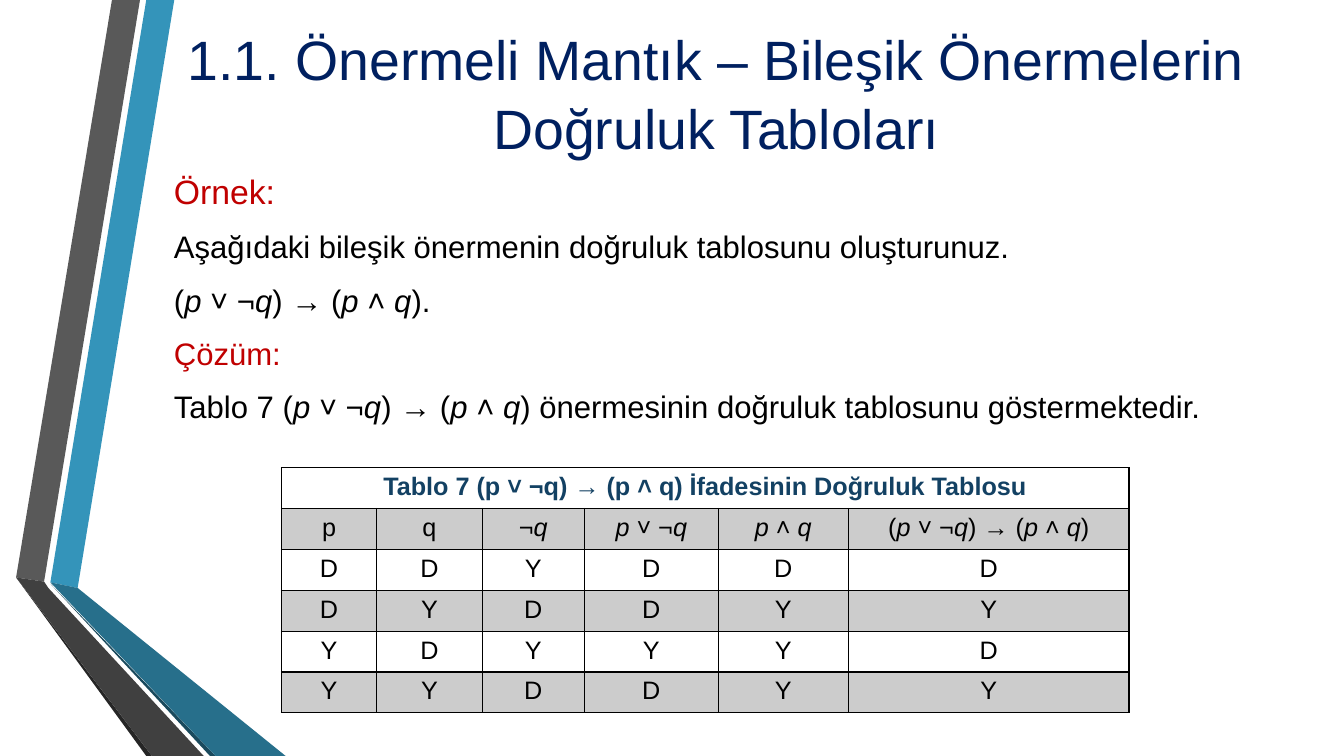
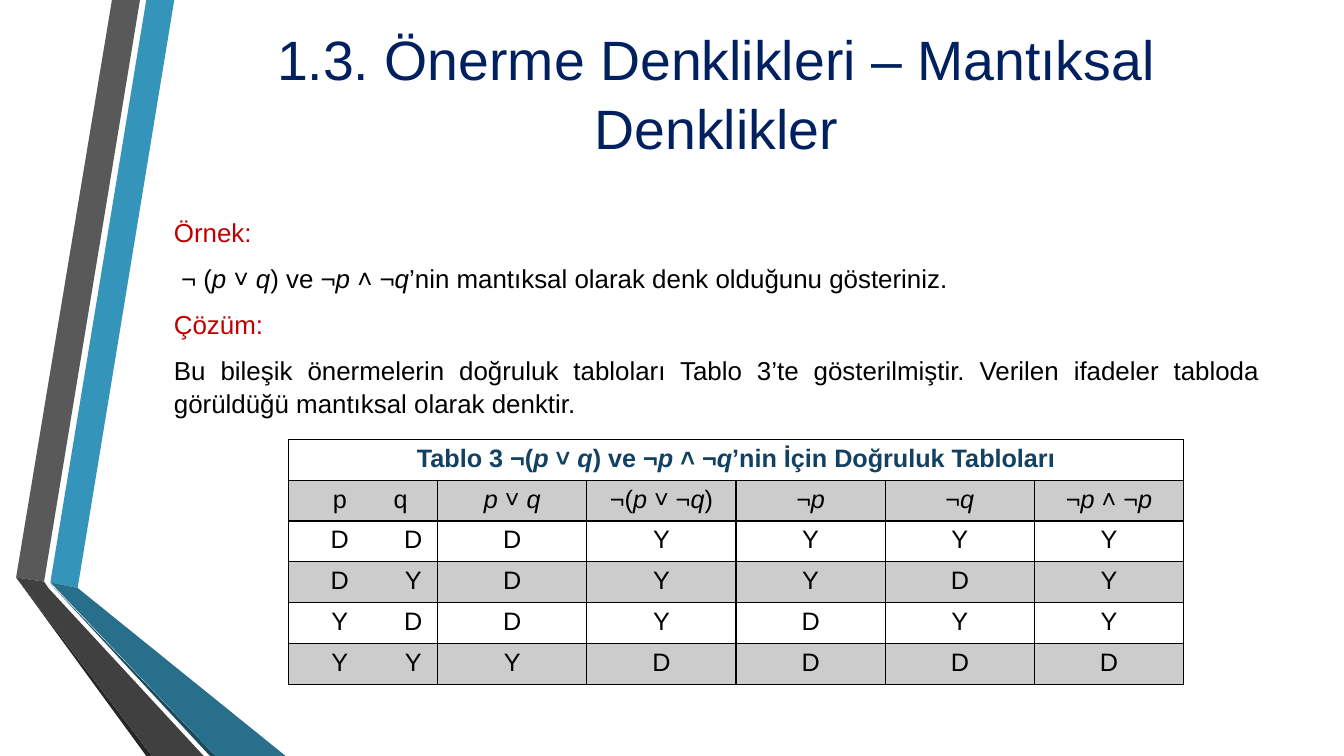
"""Build two logic slides with truth tables on a shared band layout."""
from dataclasses import dataclass
from typing import NamedTuple

from lxml.etree import SubElement
from pptx import Presentation
from pptx.dml.color import RGBColor
from pptx.enum.text import MSO_ANCHOR, MSO_AUTO_SIZE, PP_ALIGN
from pptx.oxml.ns import qn
from pptx.util import Pt


@dataclass(frozen=True)
class Theme:
    font: str = "Arial"
    title: str = "002060"
    label: str = "C00000"
    text: str = "000000"
    head: str = "134163"
    plain: str = "FFFFFF"
    shade: str = "CCCCCC"
    big: float = 39.6
    cell: float = 18
    lead: float = 1.04
    after: float = 6
    edge: float = 1


class Band(NamedTuple):
    color: str
    points: list[tuple[float, float]]


class Line(NamedTuple):
    text: str
    size: float
    label: bool = False


class Grid(NamedTuple):
    left: float
    top: float
    widths: list[float]
    rows: list[str]


class Page(NamedTuple):
    title: str
    top: float
    high: float
    lines: list[Line]
    grid: Grid


THEME = Theme()
WIDE, HIGH = 960, 540
LEFT, SPAN = 117, 789
ROW = 29.2
TABS = (29.5, 82)

BANDS = [
    Band("3494BA", [(36, 416), (55.5, 420), (124.5, 0), (104.5, 0)]),
    Band("595959", [(100, 0), (80, 0), (11.5, 412.5), (31.5, 415.5)]),
    Band("262626", [(11.5, 412.5), (104.5, HIGH), (108.5, HIGH)]),
    Band("1A4A5D", [(36, 417), (150, HIGH), (154, HIGH)]),
    Band("276F8B", [(36, 416), (154, HIGH), (204, HIGH), (55.5, 420)]),
    Band("404040", [(145.5, HIGH), (34.5, 420), (31.5, 415.5),
                    (11.5, 412.5), (108.5, HIGH)]),
]

PAGES = [
    Page(
        "1.1. Önermeli Mantık – Bileşik Önermelerin Doğruluk Tabloları",
        117.5, 205,
        [
            Line("Örnek:", 24.1, True),
            Line("Aşağıdaki bileşik önermenin doğruluk tablosunu oluşturunuz.", 22.2),
            Line("(*p* ˅ ¬*q*) → (*p* ˄ *q*).", 22.2),
            Line("Çözüm:", 22.2, True),
            Line("Tablo 7 (*p* ˅ ¬*q*) → (*p* ˄ *q*) önermesinin doğruluk "
                 "tablosunu göstermektedir.", 22.2),
        ],
        Grid(201, 334, [68, 75.5, 73, 95.5, 93, 200.5], [
            "Tablo 7 (p ˅ ¬q) → (p ˄ q) İfadesinin Doğruluk Tablosu",
            "p|q|¬*q*|*p* ˅ ¬*q*|*p* ˄ *q*|(*p* ˅ ¬*q*) → (*p* ˄ *q*)",
            "D|D|Y|D|D|D",
            "D|Y|D|D|Y|Y",
            "Y|D|Y|Y|Y|D",
            "Y|Y|D|D|Y|Y",
        ]),
    ),
    Page(
        "1.3. Önerme Denklikleri – Mantıksal Denklikler",
        150.5, 155,
        [
            Line("Örnek:", 18.5, True),
            Line(" ¬ (*p* ˅ *q*) ve ¬*p* ˄ ¬*q*’nin mantıksal olarak denk "
                 "olduğunu gösteriniz.", 18.5),
            Line("Çözüm:", 18.5, True),
            Line("Bu bileşik önermelerin doğruluk tabloları Tablo 3’te "
                 "gösterilmiştir. Verilen ifadeler tabloda görüldüğü "
                 "mantıksal olarak denktir.", 18.5),
        ],
        Grid(206, 313.75, [106.6] * 6, [
            "Tablo 3 ¬(*p* ˅ *q*) ve ¬*p* ˄ ¬*q*’nin İçin Doğruluk Tabloları",
            "\tp\tq|*p* ˅ *q*|¬(*p* ˅ ¬*q*)|¬*p*|¬*q*|¬*p* ˄ ¬*p*",
            "\tD\tD|D|Y|Y|Y|Y",
            "\tD\tY|D|Y|Y|D|Y",
            "\tY\tD|D|Y|D|Y|Y",
            "\tY\tY|Y|D|D|D|D",
        ]),
    ),
]


def write(para, text: str, size: float, color: str, bold: bool = False) -> None:
    """Add runs, with the parts between asterisks in italics."""
    for n, part in enumerate(text.split("*")):
        if part:
            run = para.add_run()
            run.text = part
            font = run.font
            font.name, font.size = THEME.font, Pt(size)
            font.bold, font.italic = bold, n % 2 == 1
            font.color.rgb = RGBColor.from_string(color)


def place(shape, top: float, high: float) -> None:
    """Move a placeholder to the text column."""
    shape.left, shape.top = Pt(LEFT), Pt(top)
    shape.width, shape.height = Pt(SPAN), Pt(high)
    shape.text_frame.auto_size = MSO_AUTO_SIZE.NONE


def paint(slide, layout) -> None:
    """Draw the bands and hand them to the layout, behind its text."""
    for n, band in enumerate(BANDS):
        first, *rest = [(Pt(x), Pt(y)) for x, y in band.points]
        pen = slide.shapes.build_freeform(*first)
        pen.add_line_segments(rest, close=True)
        shape = pen.convert_to_shape()
        shape.name = f"Band {n + 1}"
        shape.shadow.inherit = False
        shape.fill.solid()
        shape.fill.fore_color.rgb = RGBColor.from_string(band.color)
        shape.line.fill.background()
        shape.element.nvSpPr.cNvPr.id = 20 + n
        layout.shapes.element.insert(2 + n, shape.element)


def head(shape, text: str) -> None:
    """Fill the title."""
    place(shape, 10, 111)
    frame = shape.text_frame
    frame.vertical_anchor = MSO_ANCHOR.MIDDLE
    para = frame.paragraphs[0]
    para.alignment = PP_ALIGN.CENTER
    para.line_spacing = THEME.lead
    write(para, text, THEME.big, THEME.title)


def body(shape, page: Page) -> None:
    """Fill the body with unmarked, justified paragraphs."""
    place(shape, page.top, page.high)
    frame = shape.text_frame
    frame.vertical_anchor = MSO_ANCHOR.TOP
    for n, line in enumerate(page.lines):
        para = frame.add_paragraph() if n else frame.paragraphs[0]
        props = para._p.get_or_add_pPr()
        props.set("marL", "0")
        props.set("indent", "0")
        SubElement(props, qn("a:buNone"))
        para.alignment = PP_ALIGN.JUSTIFY
        para.line_spacing = THEME.lead
        para.space_before = Pt(round(line.size * 0.2, 1) if n else 0)
        para.space_after = Pt(THEME.after)
        write(para, line.text, line.size, THEME.label if line.label else THEME.text)


def frame(cell) -> None:
    """Put a thin line on each side of a cell."""
    props = cell._tc.get_or_add_tcPr()
    for side in ("lnL", "lnR", "lnT", "lnB"):
        edge = SubElement(props, qn(f"a:{side}"), w=str(Pt(THEME.edge)))
        fill = SubElement(edge, qn("a:solidFill"))
        SubElement(fill, qn("a:srgbClr"), val=THEME.text)


def stops(para, top: bool) -> None:
    """Set the centred tab stops of a paired cell."""
    tabs = SubElement(para._p.get_or_add_pPr(), qn("a:tabLst"))
    for pos in (TABS[0], TABS[1] - (9 if top else 0)):
        SubElement(tabs, qn("a:tab"), pos=str(Pt(pos)), algn="ctr")


def table(slide, grid: Grid) -> None:
    """Draw a truth table under a merged caption row."""
    count, cols = len(grid.rows), len(grid.widths)
    tab = slide.shapes.add_table(
        count, cols, Pt(grid.left), Pt(grid.top),
        Pt(sum(grid.widths)), Pt(ROW * count)).table
    tab.first_row = tab.horz_banding = False
    for col, width in zip(tab.columns, grid.widths):
        col.width = Pt(width)
    for r, row in enumerate(grid.rows):
        tab.rows[r].height = Pt(ROW)
        for c in range(cols):
            cell = tab.cell(r, c)
            frame(cell)
            cell.fill.solid()
            cell.fill.fore_color.rgb = RGBColor.from_string(
                THEME.shade if r % 2 else THEME.plain)
        for c, text in enumerate(row.split("|")):
            para = tab.cell(r, c).text_frame.paragraphs[0]
            if "\t" in text:
                stops(para, r == 1)
                para.alignment = PP_ALIGN.LEFT
            else:
                para.alignment = PP_ALIGN.CENTER
            write(para, text, THEME.cell, THEME.text if r else THEME.head, r == 0)
    tab.cell(0, 0).merge(tab.cell(0, cols - 1))


def main() -> None:
    """Build and save the deck."""
    deck = Presentation()
    deck.slide_width, deck.slide_height = Pt(WIDE), Pt(HIGH)
    layout = deck.slide_layouts[1]
    for n, page in enumerate(PAGES):
        slide = deck.slides.add_slide(layout)
        if n == 0:
            paint(slide, layout)
        head(slide.shapes.title, page.title)
        body(slide.placeholders[1], page)
        table(slide, page.grid)
    deck.save("out.pptx")


if __name__ == "__main__":
    main()
